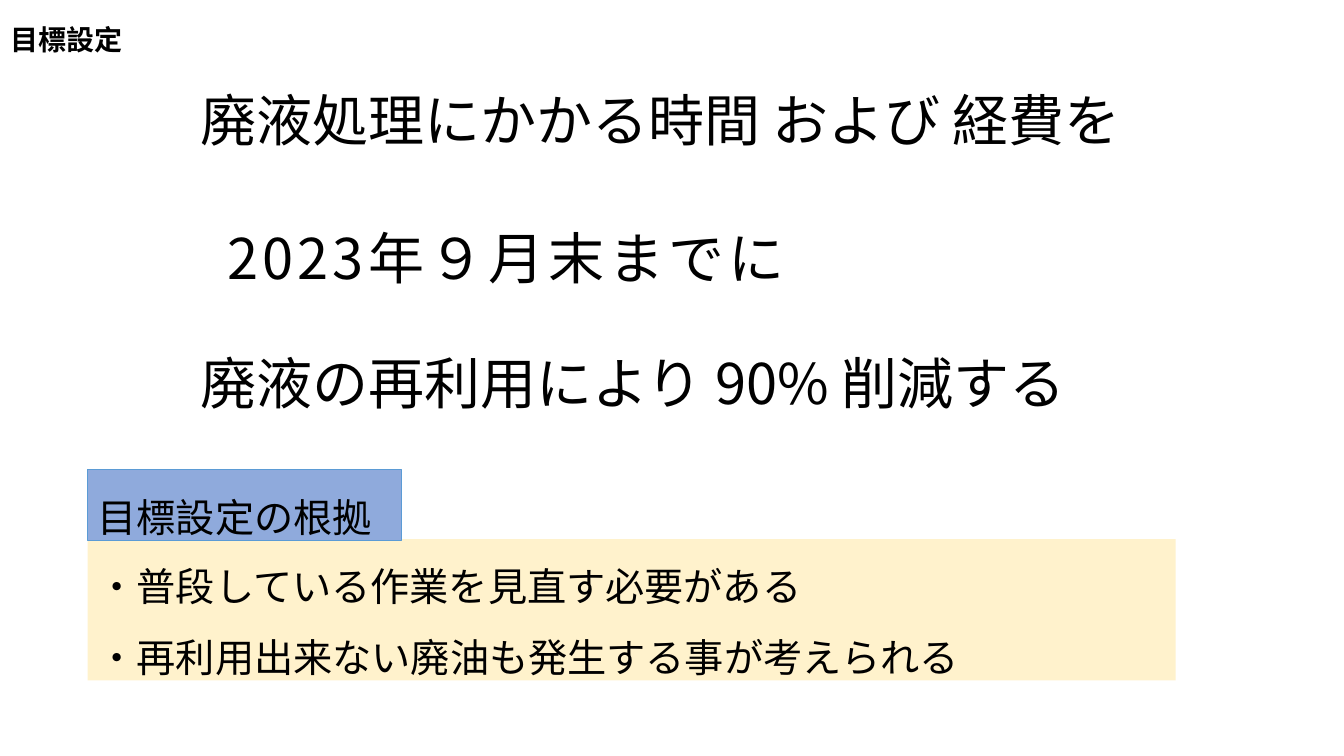
from lxml import etree
from pptx import Presentation
from pptx.dml.color import RGBColor
from pptx.enum.shapes import MSO_SHAPE
from pptx.enum.text import MSO_ANCHOR, MSO_AUTO_SIZE, PP_ALIGN
from pptx.oxml.ns import qn
from pptx.util import Inches, Pt

RECTANGLE = MSO_SHAPE.RECTANGLE
MIDDLE = MSO_ANCHOR.MIDDLE
GROW = MSO_AUTO_SIZE.SHAPE_TO_FIT_TEXT
LEFT, CENTER = PP_ALIGN.LEFT, PP_ALIGN.CENTER
FONT = "Noto Sans CJK JP"
TITLE_ONLY = 5


def paint(color_format, color):
    color_format.rgb = RGBColor.from_string(color)


def write(box, lines, size, line_spacing=1.5, align=LEFT, wrap=True, bold=False, tracking=0):
    """Fill a box with one paragraph per line; tracking is in points."""
    frame = box.text_frame
    frame.text = "\n".join(lines)
    frame.word_wrap = wrap
    frame.auto_size = GROW
    frame.vertical_anchor = MIDDLE
    for para in frame.paragraphs:
        para.alignment = align
        para.line_spacing = line_spacing
        para.space_before = Pt(0)
        font = para.font
        font.name = FONT
        font.size = Pt(size)
        font.bold = bold
        paint(font.color, "000000")
        # Japanese glyphs take their typeface from a:ea
        for span in para.runs:
            properties = span._r.get_or_add_rPr()
            etree.SubElement(properties, qn("a:ea"), typeface=FONT)
            if tracking:
                properties.set("spc", str(tracking * 100))


deck = Presentation()
deck.slide_width, deck.slide_height = Inches(13.33), Inches(7.5)
page = deck.slides.add_slide(deck.slide_layouts[TITLE_ONLY])

title = page.shapes.title
title.left, title.top = Inches(0), Inches(0.21)
title.width, title.height = Inches(1.54), Inches(0.4)
title.fill.solid()
paint(title.fill.fore_color, "FFFFFF")
write(title, ["目標設定"], 20, line_spacing=0.9, bold=True)

goals = [
    ("廃液処理にかかる時間 および 経費を", 0.54, 9.55, LEFT, 0),
    ("2023年９月末までに", 1.91, 6.26, CENTER, 3),
    ("廃液の再利用により 90% 削減する", 3.15, 9.24, LEFT, 0),
]
for goal, top, width, align, tracking in goals:
    box = page.shapes.add_textbox(Inches(1.89), Inches(top), Inches(width), Inches(0.95))
    write(box, [goal], 40, align=align, wrap=False, tracking=tracking)

reasons = ["・普段している作業を見直す必要がある", "・再利用出来ない廃油も発生する事が考えられる"]
panels = [
    (reasons, 5.35, 10.79, 1.4, "FFF2CC", None),
    (["目標設定の根拠"], 4.66, 3.11, 0.7, "8FAADC", "5B9BD5"),
]
for lines, top, width, height, fill, outline in panels:
    panel = page.shapes.add_shape(
        RECTANGLE, Inches(0.87), Inches(top), Inches(width), Inches(height))
    panel.shadow.inherit = False
    panel.fill.solid()
    paint(panel.fill.fore_color, fill)
    if outline:
        paint(panel.line.color, outline)
        panel.line.width = Pt(0.75)
    else:
        panel.line.fill.background()
    write(panel, lines, 28)

deck.save("out.pptx")
